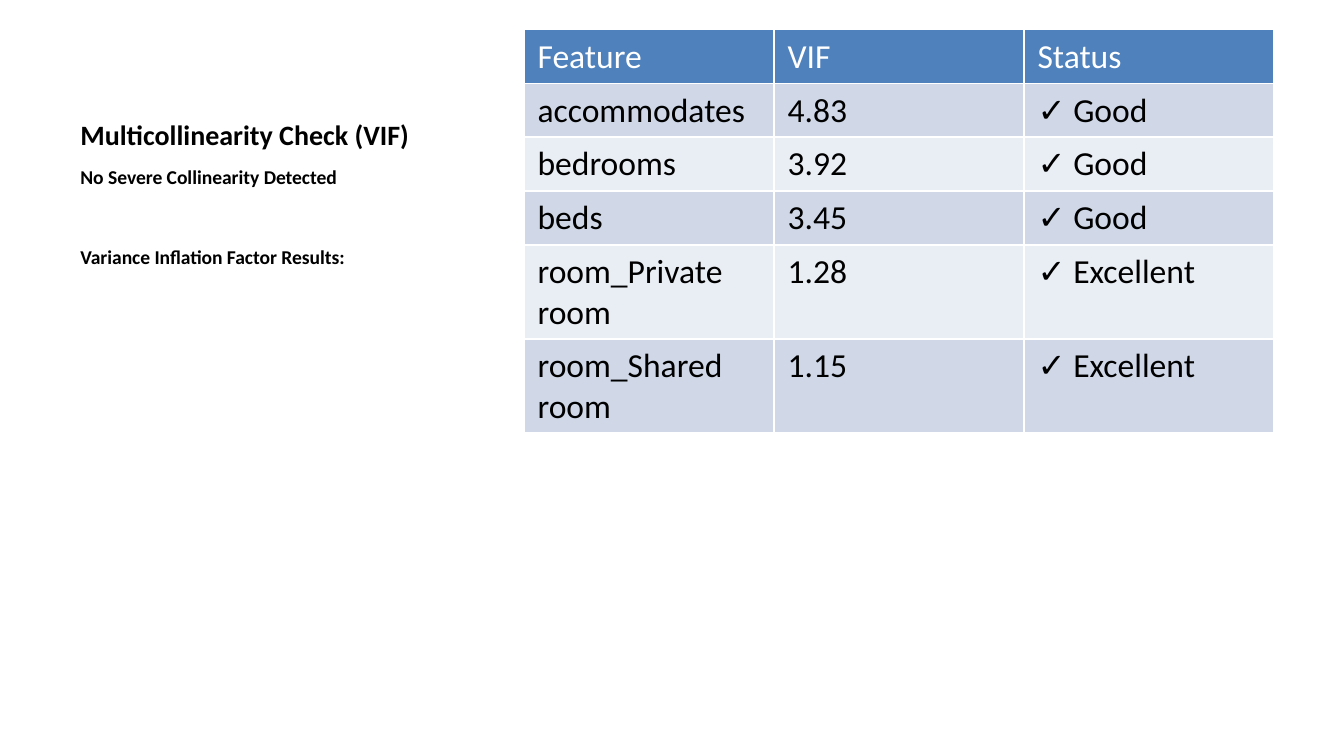
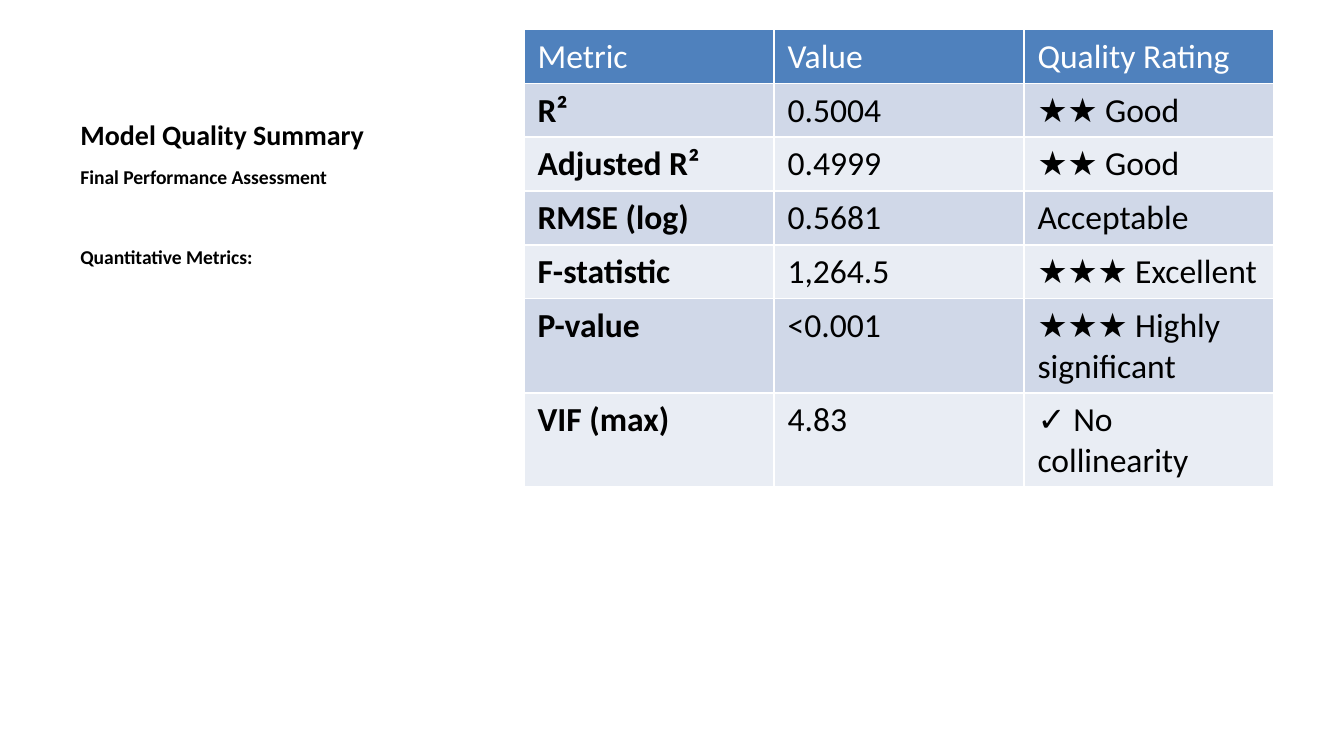
from dataclasses import dataclass

from pptx import Presentation
from pptx.dml.color import RGBColor as RGB
from pptx.enum.text import MSO_ANCHOR as Anchor
from pptx.util import Inches, Pt


@dataclass(frozen=True)
class Theme:
    font: str = "Calibri"
    dark: str = "000000"
    light: str = "FFFFFF"
    head: str = "4F81BD"
    bands: tuple = ("D0D8E8", "E9EDF4")
    title: float = 15
    note: float = 10.5
    cell: float = 18
    gap: float = 30


class Deck:
    """Holds the style and the current slide."""

    def __init__(self, theme):
        self.theme = theme
        self.prs = Presentation()
        self.prs.slide_width = Inches(10)
        self.prs.slide_height = Inches(10) * 9 // 16
        self.slide = None

    def page(self):
        self.slide = self.prs.slides.add_slide(self.prs.slide_layouts[6])

    def style(self, para, size, color, bold):
        look = {"name": self.theme.font, "size": Pt(size), "bold": bold}
        for run in para.runs:
            for key, value in look.items():
                setattr(run.font, key, value)
            run.font.color.rgb = RGB.from_string(color)

    def text(self, lines, top, height, size, anchor, gap=0):
        box = self.slide.shapes.add_textbox(
            Inches(0.5), Inches(top), Inches(3.29), Inches(height))
        frame = box.text_frame
        frame.word_wrap = True
        frame.vertical_anchor = anchor
        frame.text = "\n".join(lines)
        for para in frame.paragraphs:
            para.space_before = Pt(gap)
            self.style(para, size, self.theme.dark, True)

    def table(self, rows, strong):
        look = self.theme
        # The default table style supplies the white borders
        grid = self.slide.shapes.add_table(
            len(rows), len(rows[0]), Inches(3.9), Inches(0.22),
            Inches(5.58), Inches(0.4 * len(rows))).table
        for r, row in enumerate(rows):
            top = r == 0
            for c, word in enumerate(row):
                cell = grid.cell(r, c)
                cell.text = word
                shade = look.head if top else look.bands[(r - 1) % 2]
                cell.fill.solid()
                cell.fill.fore_color.rgb = RGB.from_string(shade)
                self.style(cell.text_frame.paragraphs[0], look.cell,
                           look.light if top else look.dark,
                           strong and c == 0 and not top)

    def report(self, title, notes, rows, strong=False):
        look = self.theme
        self.page()
        self.text([title], 0.22, 0.95, look.title, Anchor.BOTTOM)
        self.text(notes, 1.18, 3.85, look.note, Anchor.TOP, look.gap)
        self.table(rows, strong)


def main():
    deck = Deck(Theme())

    # Collinearity check
    deck.report(
        "Multicollinearity Check (VIF)",
        ["No Severe Collinearity Detected",
         "Variance Inflation Factor Results:"],
        [("Feature", "VIF", "Status"),
         ("accommodates", "4.83", "✓ Good"),
         ("bedrooms", "3.92", "✓ Good"),
         ("beds", "3.45", "✓ Good"),
         ("room_Private room", "1.28", "✓ Excellent"),
         ("room_Shared room", "1.15", "✓ Excellent")])

    # Model quality
    deck.report(
        "Model Quality Summary",
        ["Final Performance Assessment", "Quantitative Metrics:"],
        [("Metric", "Value", "Quality Rating"),
         ("R²", "0.5004", "★★ Good"),
         ("Adjusted R²", "0.4999", "★★ Good"),
         ("RMSE (log)", "0.5681", "Acceptable"),
         ("F-statistic", "1,264.5", "★★★ Excellent"),
         ("P-value", "<0.001", "★★★ Highly significant"),
         ("VIF (max)", "4.83", "✓ No collinearity")],
        strong=True)

    deck.prs.save("out.pptx")


if __name__ == "__main__":
    main()
